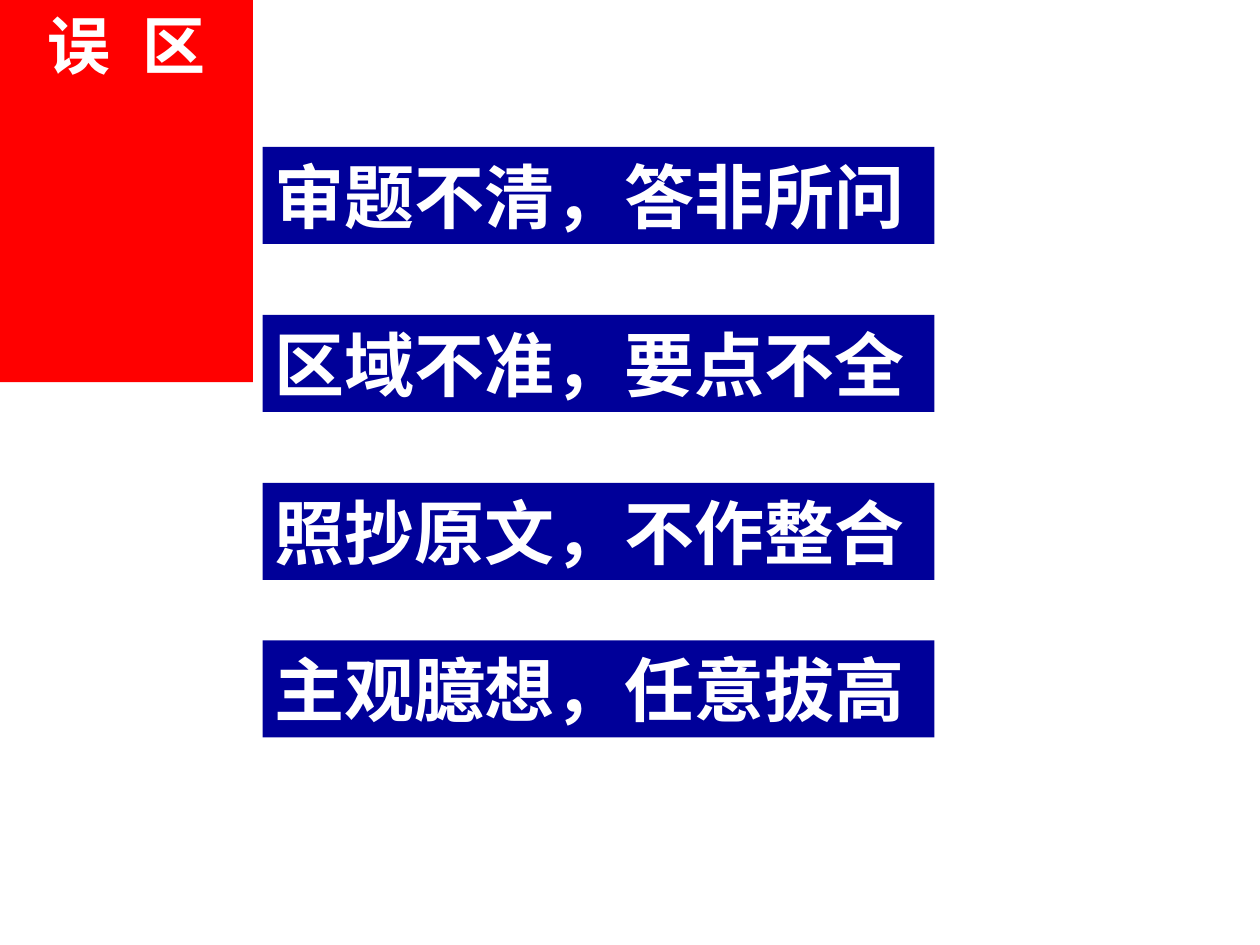
from dataclasses import dataclass

from pptx import Presentation
from pptx.dml.color import RGBColor
from pptx.enum.shapes import MSO_SHAPE
from pptx.enum.text import MSO_ANCHOR, MSO_AUTO_SIZE, PP_ALIGN
from pptx.util import Pt


@dataclass(frozen=True)
class Theme:
    title_fill: RGBColor = RGBColor(0xFF, 0x00, 0x00)
    bar_fill: RGBColor = RGBColor(0x00, 0x00, 0x99)
    text: RGBColor = RGBColor(0xFF, 0xFF, 0xFF)
    font: str = "Arial"
    title_size: int = 36
    bar_size: int = 40


theme = Theme()


def fill_box(box, text, fill, size, left_inset=7.2):
    """Give a box its solid fill and one line of bold, left-aligned text."""
    box.fill.solid()
    box.fill.fore_color.rgb = fill
    box.line.fill.background()
    frame = box.text_frame
    frame.text = text
    frame.word_wrap = True
    frame.auto_size = MSO_AUTO_SIZE.SHAPE_TO_FIT_TEXT
    frame.vertical_anchor = MSO_ANCHOR.TOP
    frame.margin_left, frame.margin_right = Pt(left_inset), Pt(7.2)
    frame.margin_top = frame.margin_bottom = Pt(3.6)
    para = frame.paragraphs[0]
    para.alignment = PP_ALIGN.LEFT
    span = para.runs[0]
    span.font.name = theme.font
    span.font.size = Pt(size)
    span.font.bold = True
    span.font.color.rgb = theme.text
    return span


deck = Presentation()
deck.slide_width, deck.slide_height = Pt(720), Pt(540)
page = deck.slides.add_slide(deck.slide_layouts[5])

# Bars, one for each common mistake
mistakes = [
    ("审题不清，答非所问", 84),
    ("区域不准，要点不全", 180),
    ("照抄原文，不作整合", 276),
    ("主观臆想，任意拔高", 366),
]
for text, top in mistakes:
    bar = page.shapes.add_shape(
        MSO_SHAPE.RECTANGLE, Pt(150), Pt(top), Pt(384), Pt(55.4)
    )
    bar.shadow.inherit = False
    fill_box(bar, text, theme.bar_fill, theme.bar_size)

# Title tag in the top left corner
title = page.shapes.title
title.left, title.top, title.width, title.height = Pt(0), Pt(0), Pt(144.6), Pt(50.4)
title_span = fill_box(
    title, "误 区", theme.title_fill, theme.title_size, left_inset=27.2
)
# Letter spacing of 5 points widens the gap between the two characters
title_span.font._element.set("spc", "500")

deck.save("out.pptx")
